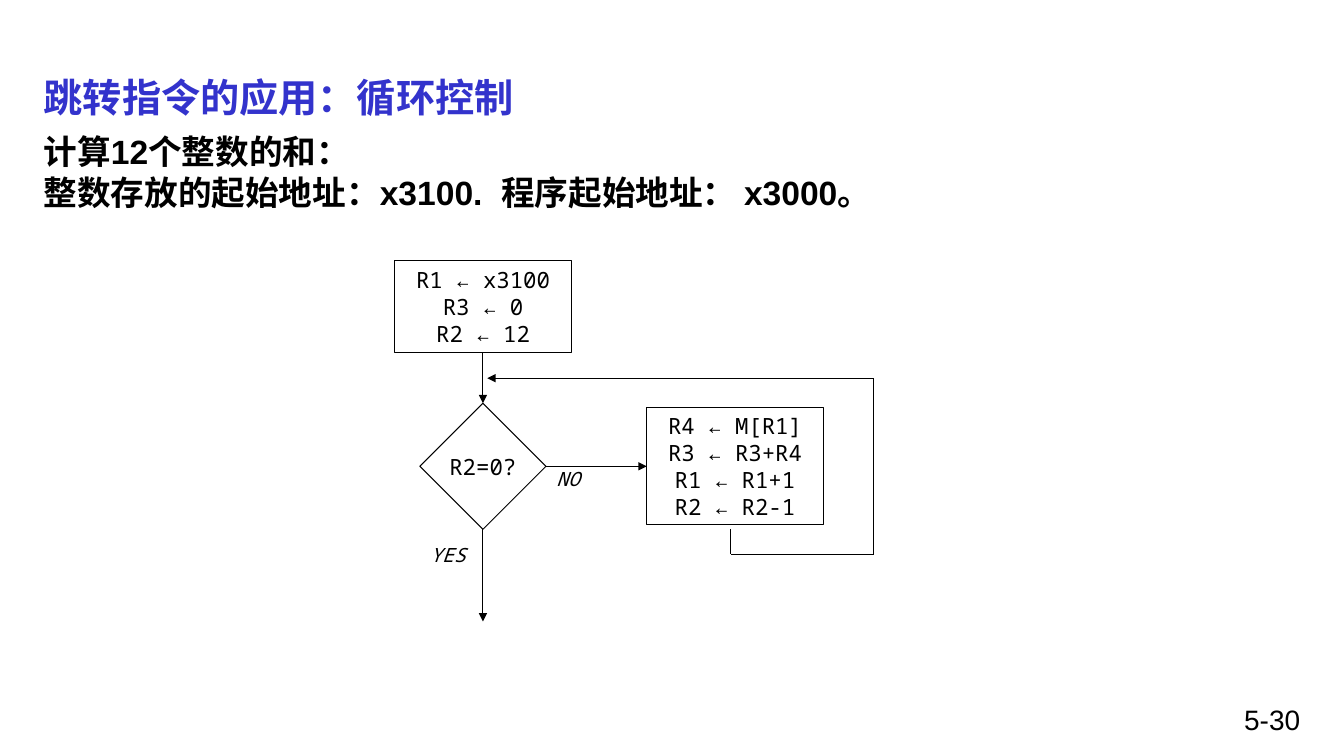
"""Build the slide on loop control with jump instructions."""
from lxml.etree import SubElement
from pptx import Presentation
from pptx.dml.color import RGBColor
from pptx.enum.shapes import MSO_CONNECTOR, MSO_SHAPE
from pptx.enum.text import MSO_ANCHOR as Anchor, MSO_AUTO_SIZE as AutoSize, PP_ALIGN as Align
from pptx.oxml.ns import qn
from pptx.util import Cm, Pt

BLACK = RGBColor(0x00, 0x00, 0x00)
BLUE = RGBColor(0x33, 0x33, 0xCC)
SANS, MONO = "Arial", "Noto Sans Mono"


def write(shape, paragraphs, font, size, color, align, anchor, wrap=True, bold=False, italic=False):
    frame = shape.text_frame
    frame.text = "\n".join(paragraphs)
    frame.auto_size = AutoSize.NONE
    frame.word_wrap = wrap
    frame.vertical_anchor = anchor
    for para in frame.paragraphs:
        para.alignment = align
        para.space_before = Pt(0)
        properties = para._p.get_or_add_pPr()
        properties.set("marL", "0")
        properties.set("indent", "0")
        SubElement(properties, qn("a:buNone"))
        para.font.name = font
        para.font.size = Pt(size)
        para.font.color.rgb = color
        para.font.bold = bold
        para.font.italic = italic


def place(shape, left, top, width, height):
    shape.left, shape.top, shape.width, shape.height = Cm(left), Cm(top), Cm(width), Cm(height)


deck = Presentation()
deck.slide_width, deck.slide_height = Cm(33.87), Cm(19.05)
page = deck.slides.add_slide(deck.slide_layouts[1])

title, body = page.placeholders
place(title, 0.85, 1.69, 32.17, 1.48)
write(title, ["跳转指令的应用：循环控制"], SANS, 28, BLUE, Align.LEFT, Anchor.MIDDLE, bold=True)

place(body, 0.85, 3.18, 32.17, 13.76)
write(body, ["计算12个整数的和：\v整数存放的起始地址：x3100.  程序起始地址： x3000。"],
      SANS, 24, BLACK, Align.LEFT, Anchor.TOP, bold=True)

number = page.shapes.add_textbox(Cm(24.28), Cm(17.58), Cm(8.74), Cm(1.07))
write(number, ["5-30"], SANS, 20, BLACK, Align.RIGHT, Anchor.TOP)

steps = [
    (MSO_SHAPE.RECTANGLE, 9.95, 6.56, 4.45, 2.33, ["R1 ← x3100\vR3 ← 0\vR2 ← 12"]),
    (MSO_SHAPE.DIAMOND, 10.58, 10.16, 3.18, 3.18, ["R2=0?"]),
    (MSO_SHAPE.RECTANGLE, 16.3, 10.27, 4.45, 2.96,
     ["R4 ← M[R1]\vR3 ← R3+R4\vR1 ← R1+1", "R2 ← R2-1"]),
]
for kind, left, top, width, height, lines in steps:
    step = page.shapes.add_shape(kind, Cm(left), Cm(top), Cm(width), Cm(height))
    step.shadow.inherit = False
    step.fill.background()
    step.line.color.rgb = BLACK
    step.line.width = Pt(0.75)
    write(step, lines, MONO, 16, BLACK, Align.CENTER, Anchor.MIDDLE, wrap=False)

for answer, left, top, width in [("NO", 13.67, 11.64, 1.3), ("YES", 10.54, 13.55, 1.5)]:
    label = page.shapes.add_textbox(Cm(left), Cm(top), Cm(width), Cm(0.86))
    write(label, [answer], MONO, 14, BLACK, Align.CENTER, Anchor.TOP, wrap=False, italic=True)

routes = [
    [(12.17, 8.89), (12.17, 10.16)],
    [(13.76, 11.75), (16.3, 11.75)],
    [(18.42, 13.34), (18.42, 13.97), (22.02, 13.97), (22.02, 9.53), (12.28, 9.53)],
    [(12.17, 13.34), (12.17, 15.66)],
]
for route in routes:
    for start, end in zip(route, route[1:]):
        link = page.shapes.add_connector(MSO_CONNECTOR.STRAIGHT, *map(Cm, start + end))
        link.line.color.rgb = BLACK
        link.line.width = Pt(0.75)
        if end == route[-1]:
            SubElement(link.line._get_or_add_ln(), qn("a:tailEnd"), type="triangle")
        SubElement(link._element.spPr, qn("a:effectLst"))

deck.save("out.pptx")
